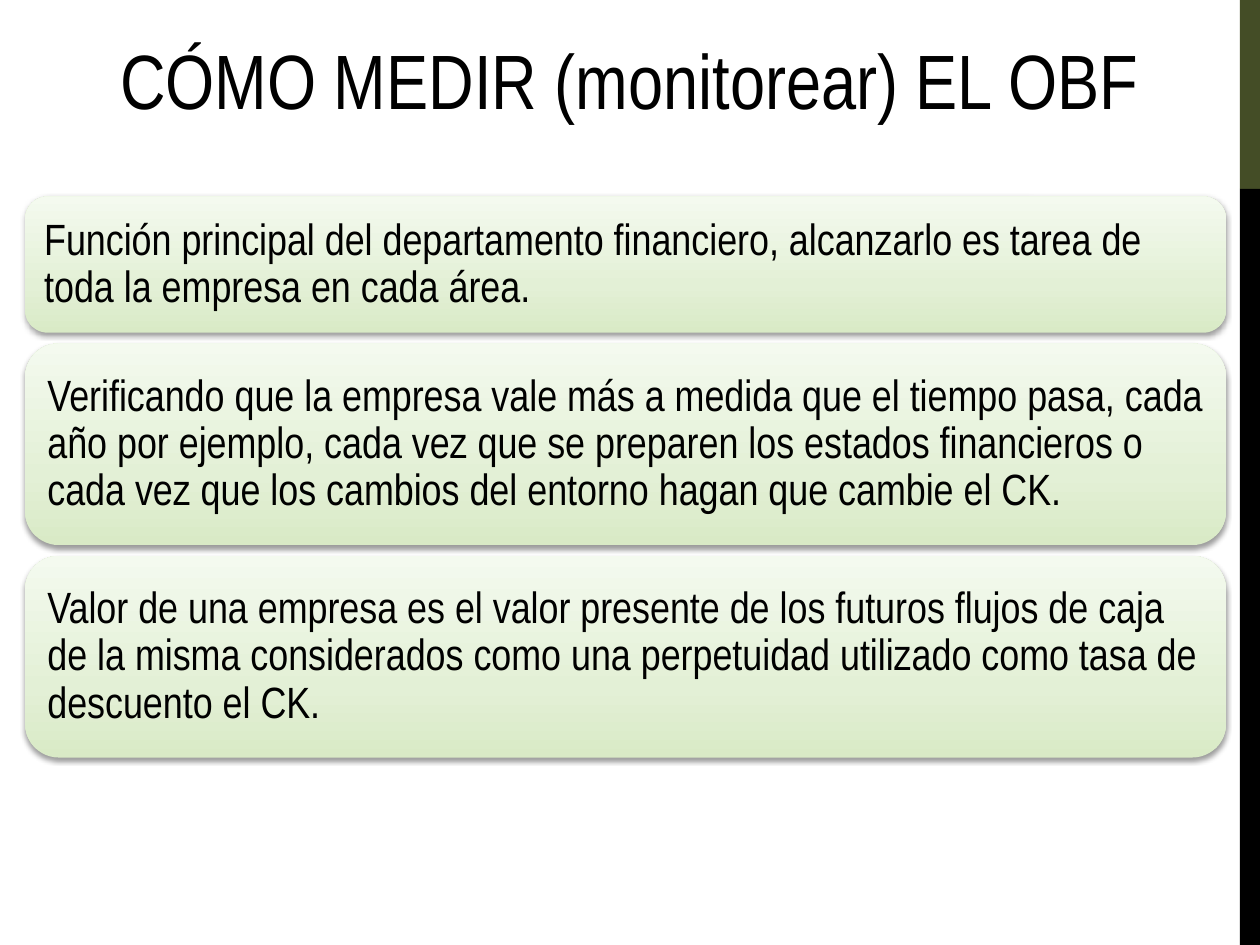
from copy import deepcopy
from dataclasses import dataclass

from lxml import etree
from pptx import Presentation
from pptx.dml.color import RGBColor
from pptx.enum.shapes import MSO_SHAPE
from pptx.enum.text import MSO_ANCHOR, PP_ALIGN
from pptx.oxml.ns import qn
from pptx.util import Pt

RECTANGLE = MSO_SHAPE.RECTANGLE
ROUNDED = MSO_SHAPE.ROUNDED_RECTANGLE
MIDDLE = MSO_ANCHOR.MIDDLE
LEFT, CENTER = PP_ALIGN.LEFT, PP_ALIGN.CENTER


@dataclass(frozen=True)
class Theme:
    """Colours, typeface and type sizes of the slide."""
    font: str = "Arial Narrow"
    title_size: float = 44
    card_size: float = 25
    ink: str = "000000"
    olive: str = "444D26"
    card_stops: tuple = ((0, "D9EAC6"), (0.35, "E3F0D6"), (1, "F4FAEF"))


THEME = Theme()
TITLE = "CÓMO MEDIR (monitorear) EL OBF"
CARDS = (
    (77.8, "Función principal del departamento financiero, alcanzarlo es tarea de "
           "toda la empresa en cada área."),
    (115.2, "Verificando que la empresa vale más a medida que el tiempo pasa, cada año "
            "por ejemplo, cada vez que se preparen los estados financieros o cada vez "
            "que los cambios del entorno hagan que cambie el CK."),
    (115.2, "Valor de una empresa es el valor presente de los futuros flujos de caja de "
            "la misma considerados como una perpetuidad utilizado como tasa de "
            "descuento el CK."),
)


def write(paragraph, text, size, alignment):
    """Add one run in the theme typeface to a paragraph."""
    paragraph.alignment = alignment
    run = paragraph.add_run()
    run.text = text
    run.font.name = THEME.font
    run.font.size = Pt(size)
    run.font.color.rgb = RGBColor.from_string(THEME.ink)


def add_panel(slide, kind, left, top, width, height):
    """Add a shape without outline or shadow."""
    panel = slide.shapes.add_shape(kind, Pt(left), Pt(top), Pt(width), Pt(height))
    panel.shadow.inherit = False
    panel.line.fill.background()
    return panel


def add_side_band(slide, left, top, width, height):
    """Split the side band into an olive fifth and a black remainder."""
    olive_height = height / 5
    for color, offset, part in ((THEME.olive, 0, olive_height),
                                (THEME.ink, olive_height, height - olive_height)):
        band = add_panel(slide, RECTANGLE, left, top + offset, width, part)
        band.fill.solid()
        band.fill.fore_color.rgb = RGBColor.from_string(color)


def add_title(slide, left, top, width, height):
    """Add the centred slide title."""
    title = slide.shapes.add_textbox(Pt(left), Pt(top), Pt(width), Pt(height))
    title.text_frame.word_wrap = True
    write(title.text_frame.paragraphs[0], TITLE, THEME.title_size, CENTER)


def fill_card(card):
    """Give a card its upward three-stop gradient."""
    card.fill.gradient()
    card.fill.gradient_angle = 90
    stop_list = card._element.spPr.find(qn("a:gradFill")).find(qn("a:gsLst"))
    stop_list.append(deepcopy(stop_list[-1]))
    for stop, (position, color) in zip(card.fill.gradient_stops, THEME.card_stops):
        stop.position = position
        stop.color.rgb = RGBColor.from_string(color)


def cast_shadow(card):
    """Give a card a soft shadow straight below it."""
    effects = card._element.spPr.find(qn("a:effectLst"))
    shadow = etree.SubElement(effects, qn("a:outerShdw"), blurRad=str(Pt(3.1)),
                              dist=str(Pt(1.6)), dir="5400000", rotWithShape="0")
    color = etree.SubElement(shadow, qn("a:srgbClr"), val=THEME.ink)
    etree.SubElement(color, qn("a:alpha"), val="38000")


def add_cards(slide, left, top, width, gap):
    """Stack the text cards downwards with an equal gap."""
    for height, text in CARDS:
        card = add_panel(slide, ROUNDED, left, top, width, height)
        fill_card(card)
        cast_shadow(card)
        frame = card.text_frame
        frame.word_wrap = True
        frame.vertical_anchor = MIDDLE
        frame.margin_left = frame.margin_right = Pt(7.2)
        frame.margin_top = frame.margin_bottom = Pt(7.2)
        paragraph = frame.paragraphs[0]
        paragraph.line_spacing = 0.9
        write(paragraph, text, THEME.card_size, LEFT)
        top += height + gap


def main():
    """Build and save the slide."""
    deck = Presentation()
    deck.slide_width, deck.slide_height = Pt(720), Pt(540)
    slide = deck.slides.add_slide(deck.slide_layouts[6])
    add_side_band(slide, 708.5, 0, 11.5, 540)
    add_title(slide, 55.4, 15.1, 609.1, 60.5)
    add_cards(slide, 14.4, 112.3, 686.2, 6.2)
    deck.save("out.pptx")


if __name__ == "__main__":
    main()
